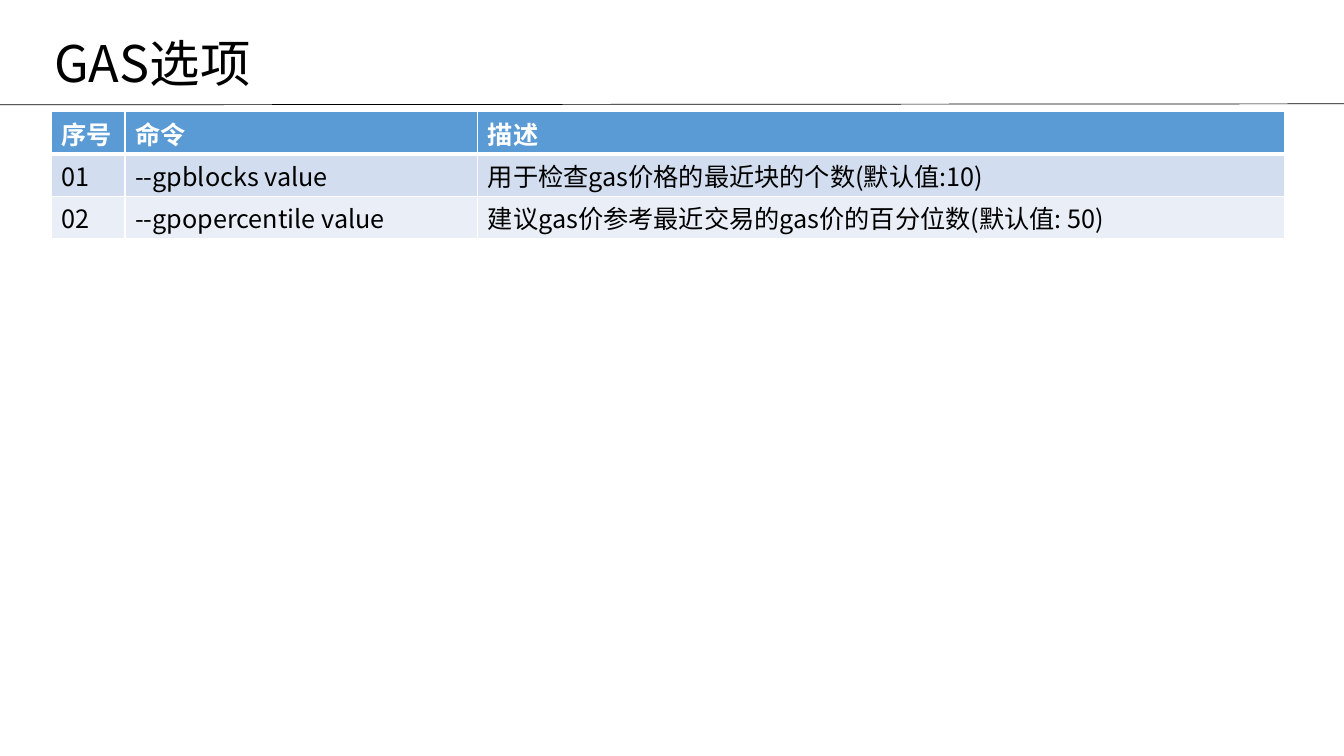
from lxml.etree import SubElement
from pptx import Presentation
from pptx.dml.color import RGBColor
from pptx.enum.shapes import MSO_CONNECTOR as Connector
from pptx.enum.text import MSO_ANCHOR as Anchor, MSO_AUTO_SIZE as AutoSize, PP_ALIGN as Align
from pptx.oxml.ns import qn
from pptx.util import Inches, Pt

COLORS = {
    "black": "000000",
    "white": "FFFFFF",
    "header": "5B9BD5",
    "odd_row": "D2DEEF",
    "even_row": "EAEFF7",
}
COLUMN_WIDTHS = [0.73, 3.5, 8]
ROW_HEIGHT = 0.42
OPTIONS = [
    ["序号", "命令", "描述"],
    ["01", "--gpblocks value", "用于检查gas价格的最近块的个数(默认值:10)"],
    ["02", "--gpopercentile value", "建议gas价参考最近交易的gas价的百分位数(默认值: 50)"],
]


def color(name):
    return RGBColor.from_string(COLORS[name])


def write_text(frame, text, size=18, fill="black", bold=False, font="Noto Sans CJK SC"):
    paragraph = frame.paragraphs[0]
    paragraph.alignment = Align.LEFT
    run = paragraph.add_run()
    run.text = text
    run.font.size = Pt(size)
    run.font.bold = bold
    run.font.color.rgb = color(fill)
    run.font.name = font
    # The East Asian typeface has no public setter.
    SubElement(run.font._element, qn("a:ea"), typeface=font)


def add_borders(cell, bottom_width):
    properties = cell._tc.get_or_add_tcPr()
    for side, width in (("L", 1), ("R", 1), ("T", 1), ("B", bottom_width)):
        border = SubElement(properties, qn(f"a:ln{side}"), w=str(Pt(width)))
        solid = SubElement(border, qn("a:solidFill"))
        SubElement(solid, qn("a:srgbClr"), val=COLORS["white"])


class SlideBuilder:
    def __init__(self, presentation):
        self.slide = presentation.slides.add_slide(presentation.slide_layouts[5])

    def title(self, text, left, top, width, height):
        heading = self.slide.shapes.title
        heading.left, heading.top = Inches(left), Inches(top)
        heading.width, heading.height = Inches(width), Inches(height)
        frame = heading.text_frame
        frame.word_wrap = True
        frame.auto_size = AutoSize.SHAPE_TO_FIT_TEXT
        frame.vertical_anchor = Anchor.MIDDLE
        write_text(frame, text, size=36)

    def rule(self, x1, y1, x2, y2):
        divider = self.slide.shapes.add_connector(
            Connector.STRAIGHT, Inches(x1), Inches(y1), Inches(x2), Inches(y2))
        divider.line.color.rgb = color("black")
        divider.line.width = Pt(0.5)
        SubElement(divider._element.spPr, qn("a:effectLst"))

    def table(self, rows, left, top):
        options = self.slide.shapes.add_table(
            len(rows), len(COLUMN_WIDTHS), Inches(left), Inches(top),
            Inches(sum(COLUMN_WIDTHS)), Inches(ROW_HEIGHT * len(rows))).table
        for column, width in zip(options.columns, COLUMN_WIDTHS):
            column.width = Inches(width)
        for row_index, values in enumerate(rows):
            options.rows[row_index].height = Inches(ROW_HEIGHT)
            is_header = row_index == 0
            band = "header" if is_header else ("even_row", "odd_row")[row_index % 2]
            for column_index, value in enumerate(values):
                cell = options.cell(row_index, column_index)
                cell.margin_top = cell.margin_bottom = Inches(0.03)
                add_borders(cell, bottom_width=3 if is_header else 1)
                cell.fill.solid()
                cell.fill.fore_color.rgb = color(band)
                write_text(cell.text_frame, value, bold=is_header,
                           fill="white" if is_header else "black")


def main():
    presentation = Presentation()
    presentation.slide_width = Inches(13.33)
    presentation.slide_height = Inches(7.5)
    builder = SlideBuilder(presentation)
    builder.rule(0, 1.04, 13.33, 1.03)
    builder.title("GAS选项", 0.44, 0.25, 6.1, 0.73)
    builder.table(OPTIONS, 0.51, 1.11)
    presentation.save("out.pptx")


if __name__ == "__main__":
    main()
